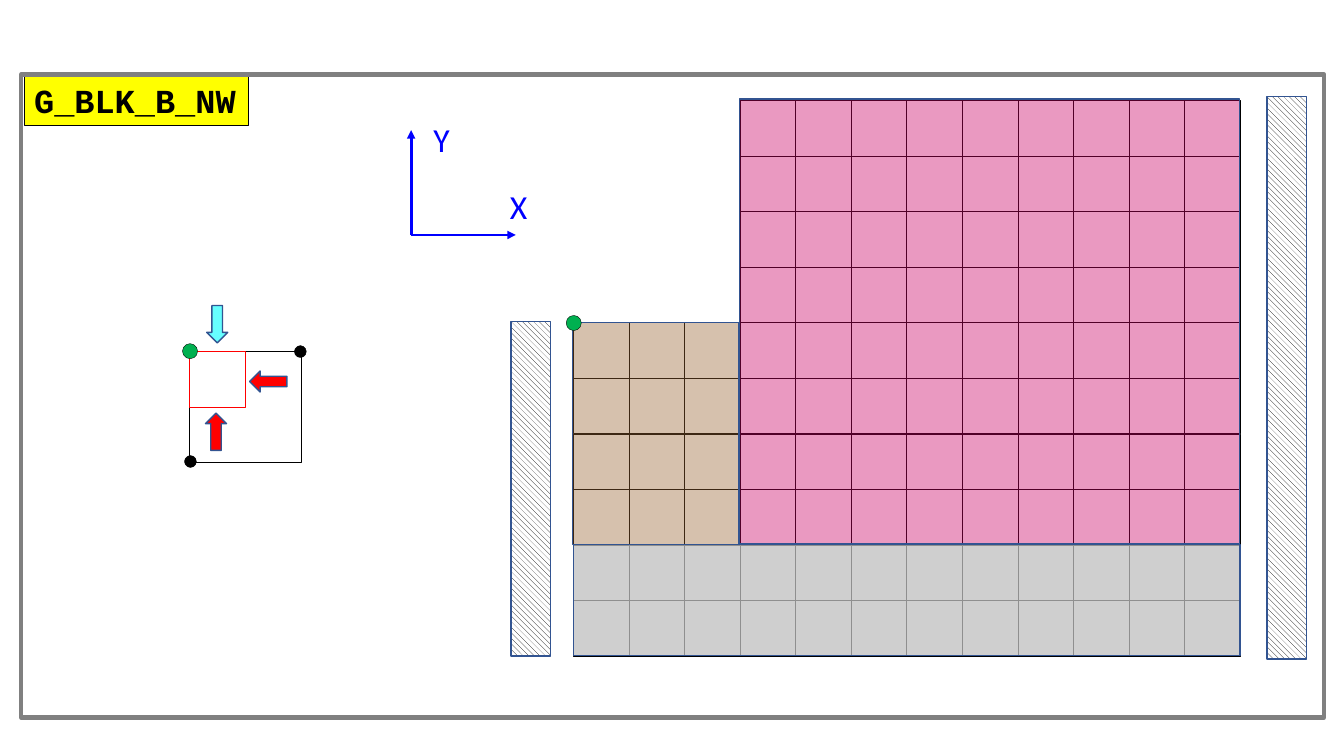
from dataclasses import dataclass
from typing import Optional

from lxml.etree import SubElement
from pptx import Presentation
from pptx.dml.color import RGBColor
from pptx.enum.dml import MSO_PATTERN
from pptx.enum.shapes import MSO_CONNECTOR, MSO_SHAPE
from pptx.enum.text import MSO_ANCHOR, MSO_AUTO_SIZE, PP_ALIGN
from pptx.oxml.ns import qn
from pptx.util import Cm, Pt

BLACK = RGBColor(0x00, 0x00, 0x00)
WHITE = RGBColor(0xFF, 0xFF, 0xFF)
GRAY = RGBColor(0x80, 0x80, 0x80)
SILVER = RGBColor(0xBF, 0xBF, 0xBF)
BROWN = RGBColor(0x99, 0x66, 0x33)
PINK = RGBColor(0xCC, 0x00, 0x66)
GREEN = RGBColor(0x00, 0xB0, 0x50)
RED = RGBColor(0xFF, 0x00, 0x00)
CYAN = RGBColor(0x66, 0xFF, 0xFF)
BLUE = RGBColor(0x00, 0x00, 0xFF)
NAVY = RGBColor(0x32, 0x54, 0x91)
YELLOW = RGBColor(0xFF, 0xFF, 0x00)

# Lengths in cm
CELL = 1.4
GRID_LEFT, GRID_TOP = 14.45, 2.53
COLS, ROWS = 12, 10
NARROW_COLS = 3  # columns missing from the upper rows
UPPER_ROWS = 4
AXIS_X, AXIS_Y, AXIS_LENGTH = 10.36, 5.92, 2.64
HAIRLINE = 0.25


@dataclass(frozen=True)
class Item:
    left: float
    top: float
    width: float
    height: float
    fill: Optional[RGBColor] = None
    line: RGBColor = BLACK
    weight: float = HAIRLINE
    kind: MSO_SHAPE = MSO_SHAPE.RECTANGLE
    opacity: int = 100
    hatched: bool = False


def panel(left: float, top: float, cols: int, rows: int, fill: RGBColor, opacity: int) -> Item:
    return Item(left, top, cols * CELL, rows * CELL, fill, NAVY, 1, opacity=opacity)


def dot(left: float, top: float, size: float, fill: RGBColor) -> Item:
    return Item(left, top, size, size, fill, kind=MSO_SHAPE.OVAL)


def wall(left: float, top: float, height: float) -> Item:
    return Item(left, top, 0.99, height, line=NAVY, weight=1, hatched=True)


CELLS = [
    Item(GRID_LEFT + col * CELL, GRID_TOP + row * CELL, CELL, CELL)
    for row in range(ROWS)
    for col in range(NARROW_COLS if row < UPPER_ROWS else 0, COLS)
]
PANELS = [
    panel(14.45, 13.72, COLS, 2, SILVER, 75),
    panel(14.43, 8.12, NARROW_COLS, 4, BROWN, 40),
    panel(18.64, 2.5, COLS - NARROW_COLS, 8, PINK, 40),
    dot(14.27, 7.95, 0.38, GREEN),
]
BLOCK = Item(4.78, 8.86, 2 * CELL, 2 * CELL)
BLOCK_DETAILS = [
    Item(4.78, 8.86, CELL, CELL, line=RED),
    dot(7.42, 8.71, 0.3, BLACK),
    dot(4.65, 11.48, 0.3, BLACK),
    Item(5.21, 7.7, 0.53, 0.94, CYAN, NAVY, 1, MSO_SHAPE.DOWN_ARROW),
    Item(5.18, 10.41, 0.53, 0.94, RED, NAVY, 1, MSO_SHAPE.UP_ARROW),
    Item(6.29, 9.35, 0.94, 0.53, RED, NAVY, 1, MSO_SHAPE.LEFT_ARROW),
]
WALLS = [wall(12.88, 8.1, 8.43), wall(31.93, 2.44, 14.17)]
BLOCK_ORIGIN = dot(4.6, 8.66, 0.38, GREEN)
TITLE = Item(0.61, 1.88, 5.64, 1.27, YELLOW)
FRAME = Item(0.53, 1.88, 32.84, 16.2, line=GRAY, weight=3)


def draw(shapes, item: Item):
    s = shapes.add_shape(item.kind, Cm(item.left), Cm(item.top), Cm(item.width), Cm(item.height))
    s.shadow.inherit = False
    s.line.color.rgb = item.line
    s.line.width = Pt(item.weight)
    if item.hatched:
        s.fill.patterned()
        s.fill.pattern = MSO_PATTERN.WIDE_DOWNWARD_DIAGONAL
        s.fill.fore_color.rgb = BLACK
        s.fill.back_color.rgb = WHITE
    elif item.fill is None:
        s.fill.background()
    else:
        s.fill.solid()
        s.fill.fore_color.rgb = item.fill
        if item.opacity < 100:
            color = s.fill._xPr.find(qn("a:solidFill"))[0]
            SubElement(color, qn("a:alpha")).set("val", str(item.opacity * 1000))
    return s


def write(s, text: str, font: str, color: RGBColor, bold: bool = False) -> None:
    tf = s.text_frame
    tf.word_wrap = False
    tf.auto_size = MSO_AUTO_SIZE.SHAPE_TO_FIT_TEXT
    tf.vertical_anchor = MSO_ANCHOR.TOP
    p = tf.paragraphs[0]
    p.text = text
    p.alignment = PP_ALIGN.LEFT
    p.font.name = font
    p.font.size = Pt(24)
    p.font.bold = bold
    p.font.color.rgb = color


def draw_axis(shapes, dx: float, dy: float) -> None:
    s = shapes.add_connector(
        MSO_CONNECTOR.STRAIGHT, Cm(AXIS_X), Cm(AXIS_Y), Cm(AXIS_X + dx), Cm(AXIS_Y + dy)
    )
    s.line.color.rgb = BLUE
    s.line.width = Pt(2)
    SubElement(s.line._get_or_add_ln(), qn("a:tailEnd")).set("type", "triangle")
    SubElement(s._element.spPr, qn("a:effectLst"))


def draw_axis_name(shapes, text: str, left: float, top: float) -> None:
    s = shapes.add_textbox(Cm(left), Cm(top), Cm(0.97), Cm(1.27))
    write(s, text, "Calibri", BLUE)


def main() -> None:
    prs = Presentation()
    prs.slide_width, prs.slide_height = Cm(33.87), Cm(19.05)
    shapes = prs.slides.add_slide(prs.slide_layouts[6]).shapes

    for item in [BLOCK, *CELLS, *PANELS, *BLOCK_DETAILS, *WALLS]:
        draw(shapes, item)

    draw_axis(shapes, AXIS_LENGTH, 0)
    draw_axis(shapes, 0, -AXIS_LENGTH)
    draw_axis_name(shapes, "X", 12.6, 4.57)
    draw_axis_name(shapes, "Y", 10.67, 2.87)

    draw(shapes, BLOCK_ORIGIN)
    write(draw(shapes, TITLE), "G_BLK_B_NW", "Courier New", BLACK, bold=True)
    draw(shapes, FRAME)
    prs.save("out.pptx")


if __name__ == "__main__":
    main()
